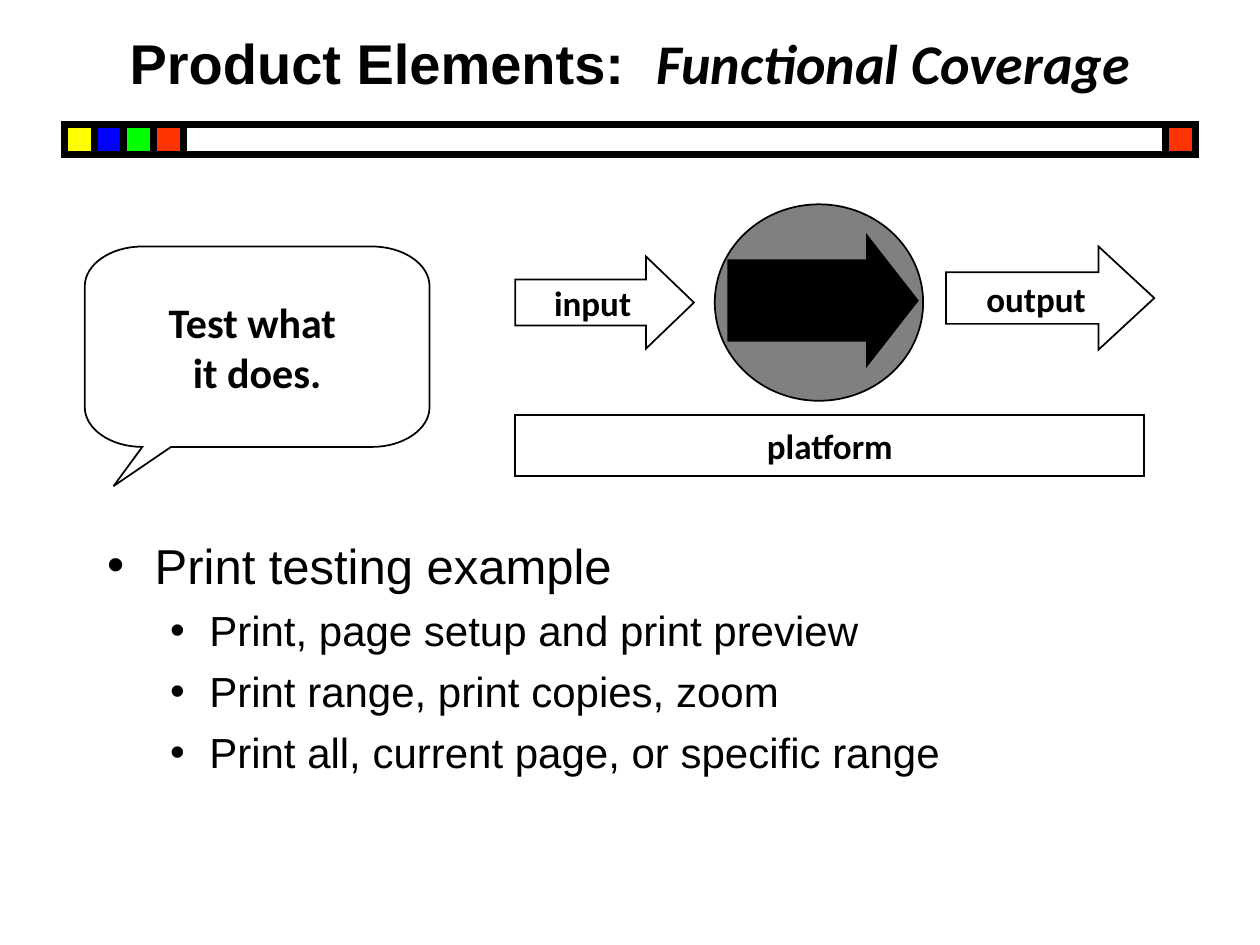
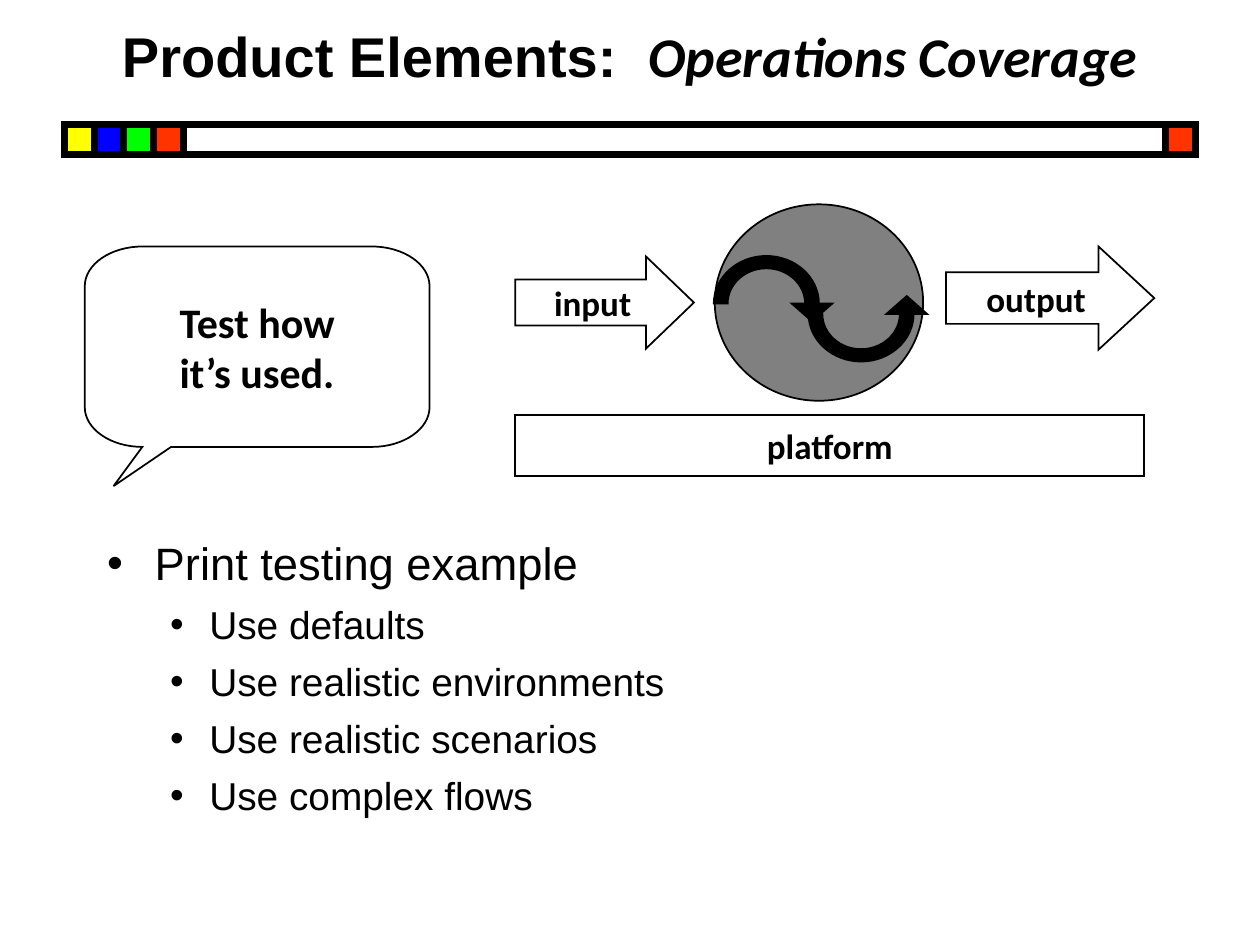
from pptx import Presentation
from pptx.dml.color import RGBColor
from pptx.enum.shapes import MSO_SHAPE as SHAPE
from pptx.enum.text import MSO_ANCHOR as ANCHOR, PP_ALIGN as ALIGN
from pptx.oxml.ns import qn
from pptx.util import Cm, Pt
from lxml.etree import SubElement

BLACK = RGBColor(0x00, 0x00, 0x00)
WHITE = RGBColor(0xFF, 0xFF, 0xFF)
GRAY = RGBColor(0x80, 0x80, 0x80)
YELLOW = RGBColor(0xFF, 0xFF, 0x00)
BLUE = RGBColor(0x00, 0x00, 0xFF)
GREEN = RGBColor(0x00, 0xFF, 0x00)
RED = RGBColor(0xFF, 0x33, 0x00)

HEAD_FONT, LABEL_FONT = "Arial", "Calibri"
ROUNDNESS = 0.55  # Bezier handle of a quarter ellipse


def quarter(start, corner, end):
    """Bezier points of a quarter ellipse bending towards a corner."""
    handles = [tuple(a + ROUNDNESS * (c - a) for a, c in zip(point, corner))
               for point in (start, end)]
    return [*handles, end]


class Deck:
    def __init__(self):
        self.prs = Presentation()
        self.prs.slide_width, self.prs.slide_height = Cm(25.4), Cm(19.05)
        self.s = None

    def new_slide(self):
        self.s = self.prs.slides.add_slide(self.prs.slide_layouts[6])
        self.color_band()

    # Style helpers
    def paint(self, sp, fill, weight=1):
        sp.shadow.inherit = False
        if fill is None:
            sp.fill.background()
        else:
            sp.fill.solid()
            sp.fill.fore_color.rgb = fill
        sp.line.color.rgb = BLACK
        sp.line.width = Pt(weight)
        # Sharp corners
        ln = sp._element.spPr.find(qn("a:ln"))
        SubElement(ln, qn("a:miter")).set("lim", "800000")
        return sp

    def format_run(self, r, size, font, bold=False, italic=False):
        r.font.size, r.font.name = Pt(size), font
        r.font.bold, r.font.italic = bold, italic
        r.font.color.rgb = BLACK

    def label(self, sp, text, size=20):
        tf = sp.text_frame
        tf.text = text
        tf.word_wrap = False
        tf.vertical_anchor = ANCHOR.MIDDLE
        for p in tf.paragraphs:
            p.alignment = ALIGN.CENTER
            for r in p.runs:
                self.format_run(r, size, LABEL_FONT, bold=True)

    # Elements
    def shape(self, kind, x, y, w, h, fill=WHITE, weight=1, adjust=(), text=None):
        sp = self.s.shapes.add_shape(kind, Cm(x), Cm(y), Cm(w), Cm(h))
        for i, value in enumerate(adjust):
            sp.adjustments[i] = value
        self.paint(sp, fill, weight)
        if text:
            self.label(sp, text)
        return sp

    def outline(self, start, segments, fill):
        """Closed outline; a segment of three points is a curve, of one a line."""
        builder = self.s.shapes.build_freeform(*map(Cm, start))
        points = [(Cm(x), Cm(y)) for segment in segments for x, y in segment]
        builder.add_line_segments(points, close=True)
        sp = builder.convert_to_shape()
        lines = iter(sp._element.findall(".//" + qn("a:lnTo")))
        for segment in segments:
            first, *others = [next(lines) for _ in segment]
            if others:
                first.tag = qn("a:cubicBezTo")
                for line in others:
                    first.append(line[0])
                    line.getparent().remove(line)
        return self.paint(sp, fill)

    def text_box(self, x, y, w, h):
        tf = self.s.shapes.add_textbox(Cm(x), Cm(y), Cm(w), Cm(h)).text_frame
        tf.word_wrap = True
        return tf

    def color_band(self):
        x, y, w, side = 1.3, 2.52, 22.8, 0.6
        self.shape(SHAPE.RECTANGLE, x, y, w, side, None, 4)
        squares = [(x + i * side, c) for i, c in enumerate((YELLOW, BLUE, GREEN, RED))]
        for left, color in squares + [(x + w - side, RED)]:
            self.shape(SHAPE.RECTANGLE, left, y, side, side, color, 4)

    def title(self, topic, y, h):
        tf = self.text_box(0, y, 25.4, h)
        tf.vertical_anchor = ANCHOR.BOTTOM
        p = tf.paragraphs[0]
        p.alignment = ALIGN.CENTER
        for text, font, italic in (("Product Elements:  ", HEAD_FONT, False),
                                   (topic, LABEL_FONT, True)):
            r = p.add_run()
            r.text = text
            self.format_run(r, 32, font, bold=True, italic=italic)

    def callout(self, text):
        left, top, right, bottom = 1.71, 4.97, 8.66, 9.01
        rx, ry, tip = 1.16, 0.8, (2.29, 9.8)
        x1, x2, y1, y2 = left + rx, right - rx, top + ry, bottom - ry
        segments = [
            quarter((x1, top), (left, top), (left, y1)),
            [(left, y2)],
            quarter((left, y2), (left, bottom), (x1, bottom)),
            [tip], [(3.45, bottom)], [(x2, bottom)],
            quarter((x2, bottom), (right, bottom), (right, y2)),
            [(right, y1)],
            quarter((right, y1), (right, top), (x2, top)),
        ]
        sp = self.outline((x1, top), segments, WHITE)
        self.label(sp, text, 24)
        # Keep the text clear of the tail
        sp.text_frame.margin_bottom = Cm(0.13 + tip[1] - bottom)

    def system_diagram(self):
        self.shape(SHAPE.OVAL, 14.41, 4.12, 4.2, 3.96, GRAY)
        self.shape(SHAPE.RIGHT_ARROW, 10.39, 5.17, 3.6, 1.86,
                   adjust=(0.5, 0.52), text="input")
        self.shape(SHAPE.RIGHT_ARROW, 19.07, 4.97, 4.2, 2.08,
                   adjust=(0.5, 0.54), text="output")
        self.shape(SHAPE.RECTANGLE, 10.39, 8.36, 12.68, 1.24, text="platform")

    def curved_arrow(self, cx, cy, flip=False):
        """Half-ring with an arrowhead, framed by the full ring."""
        rx, ry, inner_rx, inner_ry = 1.06, 0.96, 0.78, 0.71
        inner_top, top = cy - inner_ry, cy - ry
        start = (cx + inner_rx, cy)
        segments = [
            quarter(start, (cx + inner_rx, inner_top), (cx, inner_top)),
            quarter((cx, inner_top), (cx - inner_rx, inner_top), (cx - inner_rx, cy)),
            [(cx - rx, cy)],
            quarter((cx - rx, cy), (cx - rx, top), (cx, top)),
            quarter((cx, top), (cx + rx, top), (cx + rx, cy)),
            [(cx + 1.33, cy)], [(cx + 0.92, cy + 0.36)], [(cx + 0.51, cy)],
        ]
        sp = self.outline(start, segments, BLACK)
        sp.width, sp.height = Cm(2 * rx), Cm(2 * ry)
        frame = sp._element.find(".//" + qn("a:path"))
        frame.set("w", str(sp.width))
        frame.set("h", str(sp.height))
        if flip:
            sp._element.spPr.find(qn("a:xfrm")).set("flipV", "1")

    def bullets(self, heading, items, sizes):
        tf = self.text_box(1.91, 10.67, 21.6, 5.92)
        tf.text = "\n".join([heading, *items])
        for i, p in enumerate(tf.paragraphs):
            level = min(i, 1)
            margin, hang = ((0.96, 0.96), (2.06, 0.79))[level]
            pPr = p._p.get_or_add_pPr()
            pPr.set("marL", str(Cm(margin)))
            pPr.set("indent", str(-Cm(hang)))
            SubElement(pPr, qn("a:buFont")).set("typeface", HEAD_FONT)
            SubElement(pPr, qn("a:buChar")).set("char", "•")
            p.level = level
            p.space_before = Pt(6 * level)
            self.format_run(p.runs[0], sizes[level], HEAD_FONT)


def main():
    deck = Deck()

    # Functional coverage
    deck.new_slide()
    deck.title("Functional Coverage", 0.33, 1.73)
    deck.system_diagram()
    deck.callout("Test what \nit does.")
    deck.bullets("Print testing example",
                 ["Print, page setup and print preview",
                  "Print range, print copies, zoom",
                  "Print all, current page, or specific range"], (28, 24))
    deck.shape(SHAPE.RIGHT_ARROW, 14.68, 4.75, 3.82, 2.62, BLACK, adjust=(0.62, 0.39))

    # Operations coverage
    deck.new_slide()
    deck.title("Operations Coverage", 0, 1.92)
    deck.callout("Test how\vit’s used.")
    deck.bullets("Print testing example",
                 ["Use defaults", "Use realistic environments",
                  "Use realistic scenarios", "Use complex flows"], (25.9, 22.2))
    deck.system_diagram()
    deck.curved_arrow(15.45, 6.12)
    deck.curved_arrow(17.36, 6.33, flip=True)

    deck.prs.save("out.pptx")


if __name__ == "__main__":
    main()
